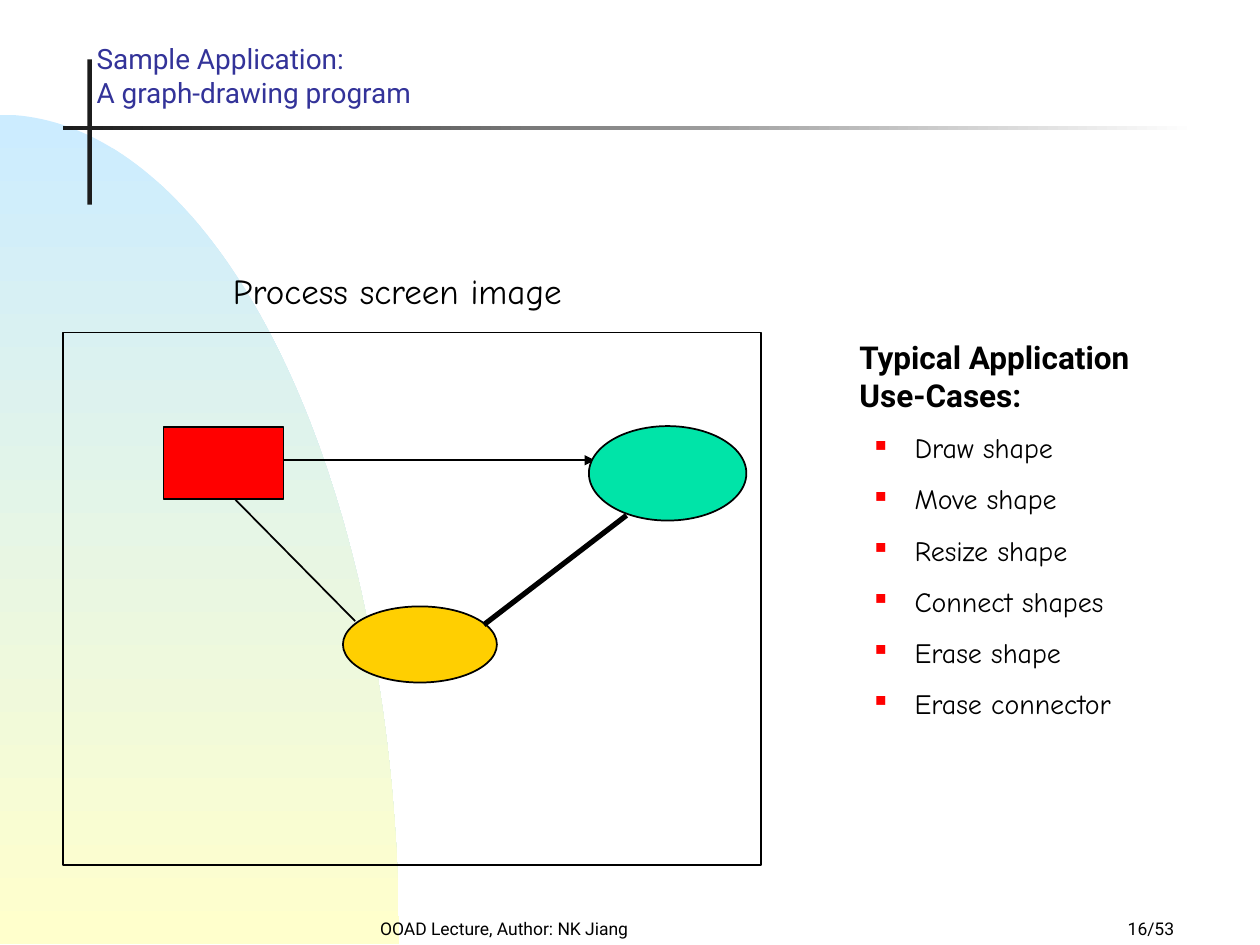
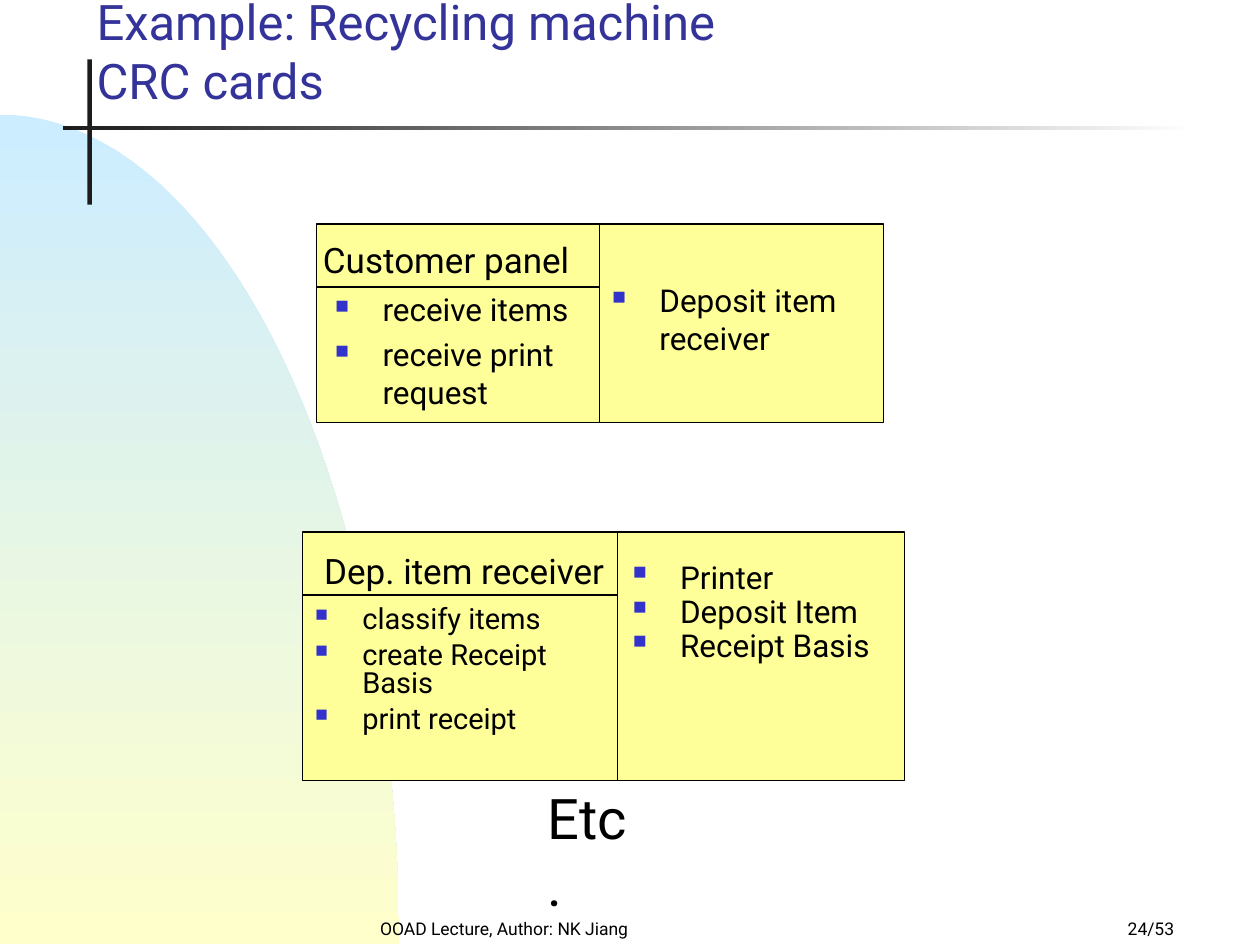
from math import cos, pi, sin

from lxml.etree import SubElement
from pptx import Presentation
from pptx.dml.color import RGBColor
from pptx.enum.shapes import MSO_CONNECTOR, MSO_SHAPE
from pptx.enum.text import MSO_ANCHOR, MSO_AUTO_SIZE, PP_ALIGN
from pptx.oxml.ns import qn
from pptx.util import Pt

COLOURS = {
    "title": "333399", "text": "000000", "bar": "1C1C1C", "paper": "FFFFFF",
    "sky": "CCECFF", "sand": "FFFFCC", "card": "FFFF99",
    "square": "FF0000", "green": "00E4A8", "amber": "FFCF01",
    "red bullet": "FF0000", "blue bullet": "3333CC",
}
SANS, HAND = "Roboto", "Comic Neue"
FOOTER = "OOAD Lecture, Author: NK Jiang"
PAGE_COUNT = 53
SLIDE_WIDTH, SLIDE_HEIGHT = 720, 540
TITLE_BOX = (48, 12, 510, 54)
HEADER_HEIGHT = 36


def rgb(name):
    return RGBColor.from_string(COLOURS[name])


def points(*lengths):
    return [Pt(length) for length in lengths]


def paint(shape, fill=None, line_width=0):
    """Give a shape a plain fill and a black outline, or none of either."""
    shape.shadow.inherit = False
    if fill:
        shape.fill.solid()
        shape.fill.fore_color.rgb = rgb(fill)
    else:
        shape.fill.background()
    if line_width:
        shape.line.color.rgb = rgb("text")
        shape.line.width = Pt(line_width)
    else:
        shape.line.fill.background()


def paint_gradient(shape, start, end, angle):
    paint(shape)
    shape.fill.gradient()
    shape.fill.gradient_angle = angle
    for stop, colour in zip(shape.fill.gradient_stops, (start, end)):
        stop.color.rgb = rgb(colour)


def add_figure(slide, kind, box, fill=None, line_width=1):
    figure = slide.shapes.add_shape(kind, *points(*box))
    paint(figure, fill, line_width)
    return figure


def add_line(slide, start, end, width=1, arrow=False):
    line = slide.shapes.add_connector(
        MSO_CONNECTOR.STRAIGHT, *points(*start, *end))
    line.line.color.rgb = rgb("text")
    line.line.width = Pt(width)
    if arrow:
        SubElement(line.line._get_or_add_ln(), qn("a:tailEnd"), type="triangle")
    SubElement(line._element.spPr, qn("a:effectLst"))


def set_font(paragraph, size, face=SANS, colour="text", bold=False):
    paragraph.font.size = Pt(size)
    paragraph.font.name = face
    paragraph.font.bold = bold
    paragraph.font.color.rgb = rgb(colour)


def set_indent(paragraph, left, first_line=0):
    properties = paragraph._p.get_or_add_pPr()
    properties.set("marL", str(Pt(left)))
    properties.set("indent", str(Pt(first_line)))
    return properties


def set_bullet(paragraph, colour, percent, left, hang):
    properties = set_indent(paragraph, left, -hang)
    bullet_colour = SubElement(properties, qn("a:buClr"))
    SubElement(bullet_colour, qn("a:srgbClr"), val=COLOURS[colour])
    SubElement(properties, qn("a:buSzPct"), val=str(percent * 1000))
    SubElement(properties, qn("a:buChar"), char="■")


def add_text_frame(slide, box, wrap=True):
    frame = slide.shapes.add_textbox(*points(*box)).text_frame
    frame.word_wrap = wrap
    return frame


def add_label(slide, box, text, size, face=SANS, align=PP_ALIGN.LEFT,
              anchor=MSO_ANCHOR.TOP, wrap=False):
    frame = add_text_frame(slide, box, wrap)
    frame.vertical_anchor = anchor
    label = frame.paragraphs[0]
    label.text = text
    label.alignment = align
    set_font(label, size, face)


def add_card_list(slide, box, items, size=18, line_spacing=1.0):
    frame = add_text_frame(slide, box)
    for index, item in enumerate(items):
        entry = frame.add_paragraph() if index else frame.paragraphs[0]
        entry.text = item
        entry.space_before = Pt(4.5)
        entry.line_spacing = line_spacing
        set_bullet(entry, "blue bullet", 60, left=27, hang=27)
        set_font(entry, size)


def add_card(slide, box, split, name, name_box):
    """Draw a CRC card: name above duties on the left, partners on the right."""
    left, top, width, height = box
    add_figure(slide, MSO_SHAPE.RECTANGLE, box, "card", 0.75)
    add_line(slide, (split, top), (split, top + height), 0.75)
    header_bottom = top + HEADER_HEIGHT
    add_line(slide, (left, header_bottom), (split, header_bottom), 0.75)
    add_label(slide, name_box, name, 20, align=PP_ALIGN.CENTER)


def add_backdrop(slide):
    """Draw the quarter ellipse and crossed bars, then hand them to the layout."""
    radius_x, radius_y, base = 228, 474, 539.5
    steps = 90
    arc = [(Pt(radius_x * sin(step / steps * pi / 2)),
            Pt(base - radius_y * cos(step / steps * pi / 2)))
           for step in range(steps + 1)]
    outline = slide.shapes.build_freeform(0, Pt(base), scale=1.0)
    outline.add_line_segments(arc, close=True)
    hill = outline.convert_to_shape()
    paint_gradient(hill, "sky", "sand", 270)
    upright = add_figure(
        slide, MSO_SHAPE.RECTANGLE, (50, 34, 2.5, 83), "bar", 0)
    rule = add_figure(slide, MSO_SHAPE.RECTANGLE, (36, 72, 648, 2.4))
    paint_gradient(rule, "bar", "paper", 0)
    for part in (hill, upright, rule):
        slide.slide_layout.shapes.element.append(part.element)


def add_titled_slide(deck, title, size, page):
    slide = deck.slides.add_slide(deck.slide_layouts[5])
    heading = slide.shapes.title
    heading.left, heading.top, heading.width, heading.height = points(*TITLE_BOX)
    frame = heading.text_frame
    frame.auto_size = MSO_AUTO_SIZE.NONE
    frame.vertical_anchor = MSO_ANCHOR.BOTTOM
    frame.text = title
    frame.paragraphs[0].alignment = PP_ALIGN.LEFT
    set_font(frame.paragraphs[0], size, colour="title")
    for box, text, align in (
            ((174, 516, 228, 24), FOOTER, PP_ALIGN.CENTER),
            ((528, 516, 150, 24), f"{page}/{PAGE_COUNT}", PP_ALIGN.RIGHT)):
        add_label(slide, box, text, 10, align=align,
                  anchor=MSO_ANCHOR.BOTTOM, wrap=True)
    return slide


def add_use_cases(slide, box, heading, use_cases):
    frame = add_text_frame(slide, box)
    opening = frame.paragraphs[0]
    opening.text = heading
    opening.space_before = Pt(11.2)
    set_indent(opening, 27)
    set_font(opening, 18, bold=True)
    for use_case in use_cases:
        entry = frame.add_paragraph()
        entry.text = use_case
        entry.space_before = Pt(10)
        set_bullet(entry, "red bullet", 55, left=58.5, hang=22.5)
        set_font(entry, 16, HAND)


def fill_graph_slide(slide):
    add_figure(slide, MSO_SHAPE.RECTANGLE, (36, 190, 399, 304.5))
    add_figure(slide, MSO_SHAPE.RECTANGLE, (93.5, 244, 68.5, 41), "square")
    add_figure(slide, MSO_SHAPE.OVAL, (196, 346.5, 88, 43.5), "amber")
    add_line(slide, (134, 285), (203, 355))
    add_line(slide, (358, 294.5), (276.5, 357), width=3)
    add_line(slide, (162, 263), (340, 263), arrow=True)
    add_figure(slide, MSO_SHAPE.OVAL, (336.5, 243.5, 90, 54), "green")
    add_label(slide, (126, 150.5, 203, 31.5), "Process screen image", 20, HAND)
    add_use_cases(
        slide, (457, 189.5, 223, 324), "Typical Application \vUse-Cases:",
        ["Draw shape", "Move shape", "Resize shape", "Connect shapes",
         "Erase shape", "Erase connector"])


def fill_cards_slide(slide):
    add_card(slide, (181, 128, 324, 113.5), 342.75,
             "Customer panel", (173, 132.5, 164, 31.5))
    add_card_list(slide, (184.5, 162, 180, 84),
                  ["receive items", "receive print request"])
    add_card_list(slide, (342.75, 157, 164, 57), ["Deposit item receiver"])

    add_card(slide, (173, 304, 344, 142), 353,
             "Dep. item receiver", (172, 310.5, 186.5, 31.5))
    add_card_list(slide, (173, 343.5, 180, 84),
                  ["classify items", "create Receipt Basis", "print receipt"],
                  size=16.6, line_spacing=0.8)
    add_card_list(slide, (354.5, 321, 168, 66),
                  ["Printer", "Deposit Item", "Receipt Basis"],
                  line_spacing=0.7)
    add_label(slide, (306, 444, 64, 46), "Etc.", 32, wrap=True)


def main():
    deck = Presentation()
    deck.slide_width, deck.slide_height = points(SLIDE_WIDTH, SLIDE_HEIGHT)

    graph = add_titled_slide(
        deck, "Sample Application:\vA graph-drawing program", 16, 16)
    add_backdrop(graph)
    fill_graph_slide(graph)

    cards = add_titled_slide(
        deck, "Example: Recycling machine\vCRC cards", 28, 24)
    fill_cards_slide(cards)

    deck.save("out.pptx")


if __name__ == "__main__":
    main()
